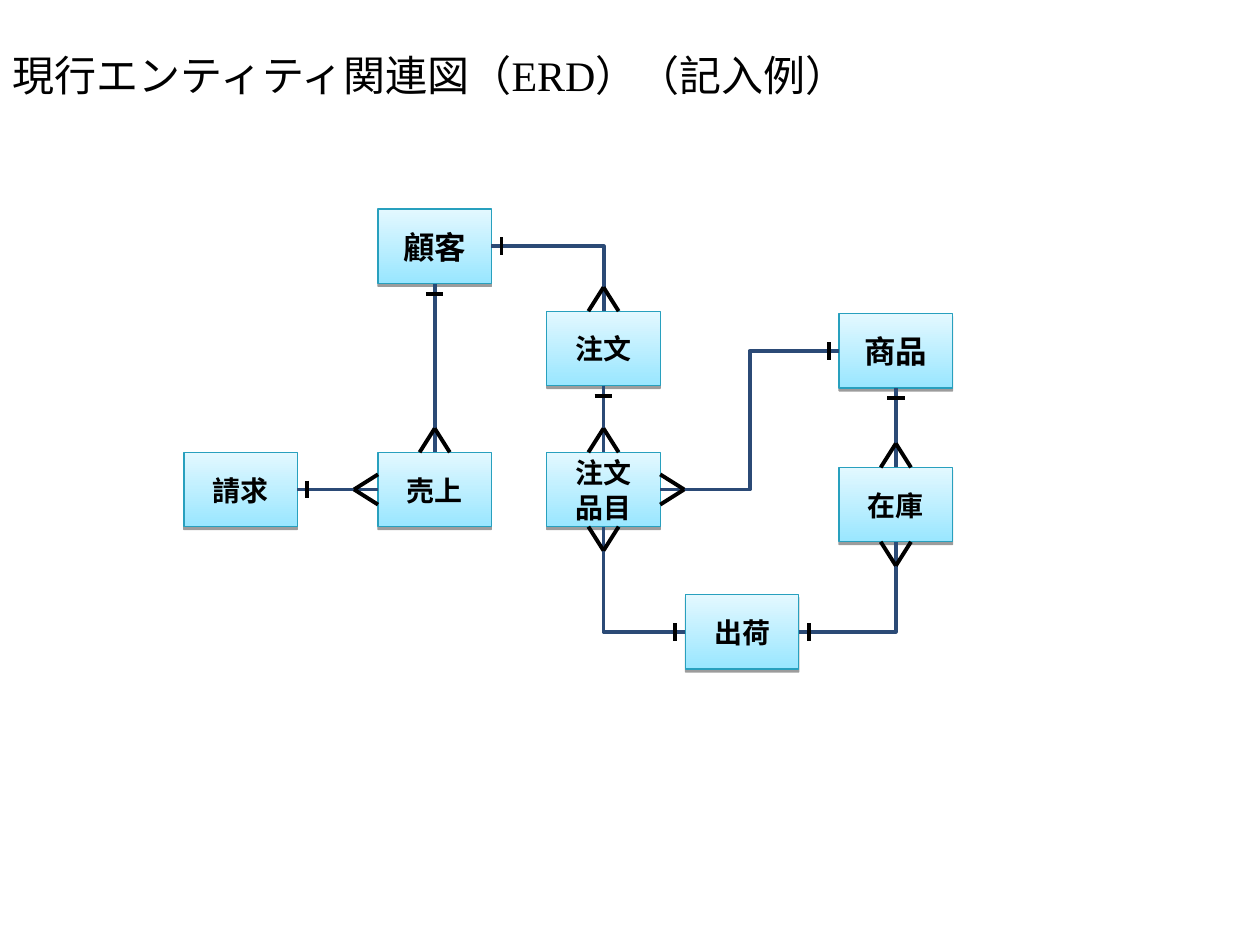
from dataclasses import dataclass
from enum import IntEnum

from lxml.etree import SubElement
from pptx import Presentation
from pptx.dml.color import RGBColor
from pptx.enum.shapes import MSO_CONNECTOR, MSO_SHAPE
from pptx.enum.text import MSO_ANCHOR, MSO_AUTO_SIZE, PP_ALIGN
from pptx.oxml.ns import qn
from pptx.util import Inches, Pt

COLORS = {
    "text": "000000",
    "mark": "000000",
    "relation": "2B4A76",
    "border": "28A0BE",
    "fill_bottom": "99E6FF",
    "fill_top": "E3F8FF",
    "shadow": "000000",
}
CJK_FONT = "Noto Sans CJK JP"
TITLE_FONT = "Times New Roman"

# Grid of the diagram: left edges and top edges, in inches
COLUMNS = (1.46, 3.0, 4.34, 5.44, 6.66)
ROWS = (1.66, 2.47, 2.49, 3.59, 3.71, 4.72)
BOX_WIDTH, BOX_HEIGHT = 0.9, 0.59

# Cardinality marks: distance from the box and half of the breadth
BAR_DISTANCE, BAR_HALF = 0.08, 0.07
FOOT_DISTANCE, FOOT_HALF = 0.19, 0.12


class Side(IntEnum):
    TOP = 0
    LEFT = 1
    BOTTOM = 2
    RIGHT = 3


OUTWARD = {Side.TOP: (0, -1), Side.LEFT: (-1, 0), Side.BOTTOM: (0, 1), Side.RIGHT: (1, 0)}


@dataclass(frozen=True)
class Entity:
    label: str
    column: int
    row: int
    size: int = 16

    @property
    def left(self) -> float:
        return COLUMNS[self.column]

    @property
    def top(self) -> float:
        return ROWS[self.row]

    def near(self, side: Side, distance: float, offset: float = 0) -> tuple[float, float]:
        """Point outside the middle of a side, shifted along that side."""
        out_x, out_y = OUTWARD[side]
        x = self.left + BOX_WIDTH / 2 * (1 + out_x) + out_x * distance + out_y * offset
        y = self.top + BOX_HEIGHT / 2 * (1 + out_y) + out_y * distance + out_x * offset
        return x, y


@dataclass(frozen=True)
class Relation:
    """One-to-many relation, from the single side to the many side."""
    one: Entity
    one_side: Side
    many: Entity
    many_side: Side
    preset: str = "line"


CUSTOMER = Entity("顧客", 1, 0, 18)
PRODUCT = Entity("商品", 4, 2, 18)
ORDER = Entity("注文", 2, 1)
SHIPMENT = Entity("出荷", 3, 5)
INVOICE = Entity("請求", 0, 3)
SALES = Entity("売上", 1, 3)
ORDER_ITEM = Entity("注文\n品目", 2, 3)
STOCK = Entity("在庫", 4, 4)
ENTITIES = (CUSTOMER, PRODUCT, ORDER, SHIPMENT, INVOICE, SALES, ORDER_ITEM, STOCK)

RELATIONS = (
    Relation(CUSTOMER, Side.RIGHT, ORDER, Side.TOP, "bentConnector2"),
    Relation(CUSTOMER, Side.BOTTOM, SALES, Side.TOP),
    Relation(INVOICE, Side.RIGHT, SALES, Side.LEFT),
    Relation(ORDER, Side.BOTTOM, ORDER_ITEM, Side.TOP),
    Relation(PRODUCT, Side.LEFT, ORDER_ITEM, Side.RIGHT, "bentConnector3"),
    Relation(PRODUCT, Side.BOTTOM, STOCK, Side.TOP),
    Relation(SHIPMENT, Side.LEFT, ORDER_ITEM, Side.BOTTOM, "bentConnector2"),
    Relation(SHIPMENT, Side.RIGHT, STOCK, Side.BOTTOM, "bentConnector2"),
)


def color(name: str) -> RGBColor:
    return RGBColor.from_string(COLORS[name])


def format_run(run, size: int, font_name: str, bold: bool) -> None:
    run.font.size = Pt(size)
    run.font.bold = bold
    run.font.name = font_name
    run.font.color.rgb = color("text")
    SubElement(run.font._element, qn("a:ea"), typeface=CJK_FONT)


def set_title(slide, text: str) -> None:
    title = slide.shapes.title
    title.left, title.top = Inches(0), Inches(0.24)
    title.width, title.height = Inches(10), Inches(0.6)
    frame = title.text_frame
    frame.text = text
    frame.auto_size = MSO_AUTO_SIZE.NONE
    frame.vertical_anchor = MSO_ANCHOR.BOTTOM
    para = frame.paragraphs[0]
    para.alignment = PP_ALIGN.LEFT
    format_run(para.runs[0], 24, TITLE_FONT, False)


def add_shadow(box) -> None:
    box.shadow.inherit = False
    effects = box._element.spPr.find(qn("a:effectLst"))
    shadow = SubElement(effects, qn("a:outerShdw"), blurRad="0", dist=str(Pt(1.6)),
                        dir="5400000", rotWithShape="0")
    tint = SubElement(shadow, qn("a:srgbClr"), val=COLORS["shadow"])
    SubElement(tint, qn("a:alpha"), val="38000")


def add_entity(slide, entity: Entity):
    box = slide.shapes.add_shape(
        MSO_SHAPE.FLOWCHART_PROCESS, Inches(entity.left), Inches(entity.top),
        Inches(BOX_WIDTH), Inches(BOX_HEIGHT))
    box.fill.gradient()
    box.fill.gradient_angle = 90
    for stop, name in zip(box.fill.gradient_stops, ("fill_bottom", "fill_top")):
        stop.color.rgb = color(name)
    box.line.color.rgb = color("border")
    box.line.width = Pt(0.75)
    add_shadow(box)

    frame = box.text_frame
    frame.text = entity.label
    frame.word_wrap = True
    frame.vertical_anchor = MSO_ANCHOR.MIDDLE
    for para in frame.paragraphs:
        para.alignment = PP_ALIGN.CENTER
        para.line_spacing = Pt(round(entity.size * 1.22, 1))
        format_run(para.runs[0], entity.size, CJK_FONT, True)
    return box


def add_line(slide, start: tuple[float, float], end: tuple[float, float],
             color_name: str, preset: str = "line"):
    kind = MSO_CONNECTOR.STRAIGHT if preset == "line" else MSO_CONNECTOR.ELBOW
    line = slide.shapes.add_connector(kind, *(Inches(value) for value in start + end))
    line.line.color.rgb = color(color_name)
    line.line.width = Pt(2.25)
    properties = line._element.spPr
    properties.find(qn("a:prstGeom")).set("prst", preset)
    SubElement(properties, qn("a:effectLst"))
    return line


def add_relation(slide, relation: Relation, boxes: dict) -> None:
    one, one_side = relation.one, relation.one_side
    many, many_side = relation.many, relation.many_side
    line = add_line(slide, one.near(one_side, 0), many.near(many_side, 0),
                    "relation", relation.preset)
    line.begin_connect(boxes[one], int(one_side))
    line.end_connect(boxes[many], int(many_side))

    # Bar on the single side, crow's foot on the many side
    add_line(slide, one.near(one_side, BAR_DISTANCE, -BAR_HALF),
             one.near(one_side, BAR_DISTANCE, BAR_HALF), "mark")
    for offset in (-FOOT_HALF, FOOT_HALF):
        add_line(slide, many.near(many_side, FOOT_DISTANCE),
                 many.near(many_side, 0, offset), "mark")


def main() -> None:
    deck = Presentation()
    deck.slide_width, deck.slide_height = Inches(10), Inches(7.5)
    slide = deck.slides.add_slide(deck.slide_layouts[5])
    set_title(slide, "現行エンティティ関連図（ERD）（記入例）")
    boxes = {entity: add_entity(slide, entity) for entity in ENTITIES}
    for relation in RELATIONS:
        add_relation(slide, relation, boxes)
    deck.save("out.pptx")


if __name__ == "__main__":
    main()
